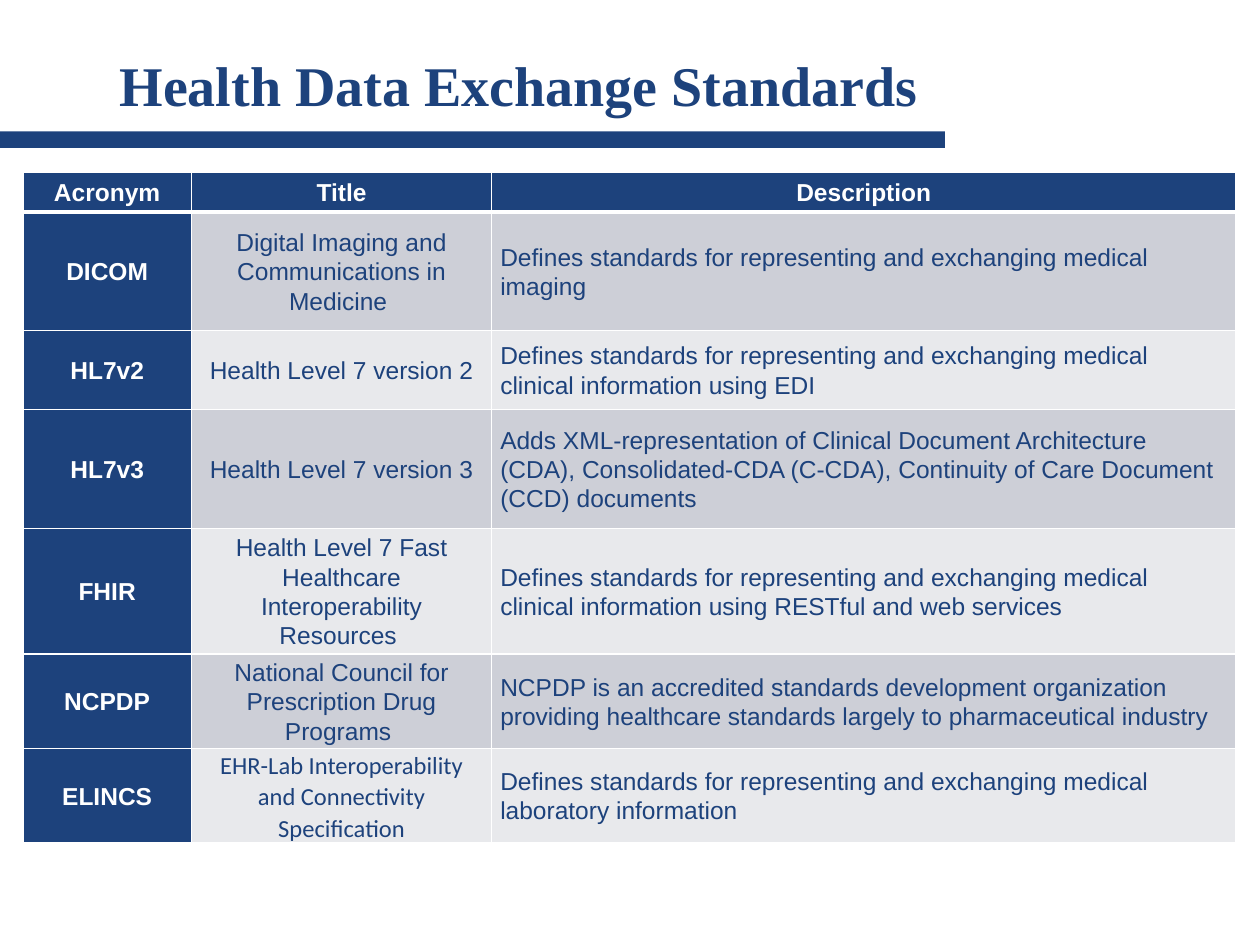
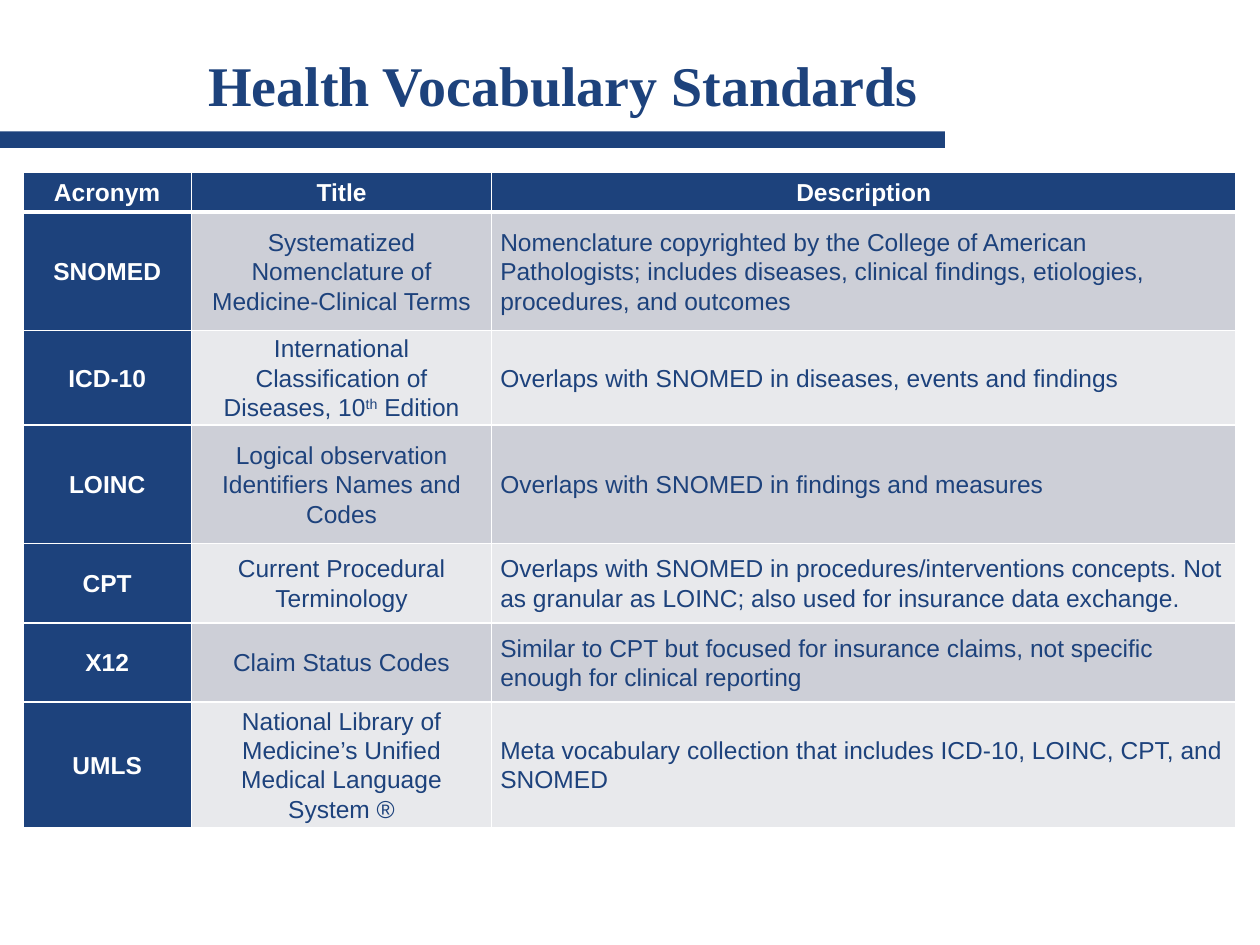
from dataclasses import dataclass

from lxml.etree import SubElement
from pptx import Presentation
from pptx.dml.color import RGBColor
from pptx.enum.shapes import MSO_SHAPE
from pptx.enum.text import MSO_ANCHOR, PP_ALIGN
from pptx.oxml.ns import qn
from pptx.slide import Slide
from pptx.table import _Cell as Cell
from pptx.text.text import _Paragraph as Paragraph
from pptx.util import Pt

NAVY, WHITE = "1D427C", "FFFFFF"
BANDS = ("CDCFD7", "E8E9EC")
TITLE_FONT, BODY_FONT = "Times New Roman", "Arial"
HEADINGS = ("Acronym", "Title", "Description")
COLUMN_WIDTHS = (96.5, 171.4, 425.5)
LINE_HEIGHT = 22.6
THIN, THICK = 1, 3


@dataclass(frozen=True)
class Standard:
    acronym: str
    title: str  # text between carets is superscript
    description: str
    lines: int = 2
    title_font: str = BODY_FONT


@dataclass(frozen=True)
class StandardsPage:
    title: str
    standards: tuple[Standard, ...]


PAGES = (
    StandardsPage("Health Data Exchange Standards ", (
        Standard("DICOM", "Digital Imaging and Communications in Medicine ",
                 "Defines standards for representing and exchanging medical imaging", 3),
        Standard("HL7v2", "Health Level 7 version 2",
                 "Defines standards for representing and exchanging medical clinical "
                 "information using EDI"),
        Standard("HL7v3", "Health Level 7 version 3",
                 "Adds XML-representation of Clinical Document Architecture (CDA), "
                 "Consolidated-CDA (C-CDA), Continuity of Care Document (CCD) documents", 3),
        Standard("FHIR", "Health Level 7 Fast Healthcare Interoperability Resources ",
                 "Defines standards for representing and exchanging medical clinical "
                 "information using RESTful and web services"),
        Standard("NCPDP", "National Council for Prescription Drug Programs ",
                 "NCPDP is an accredited standards development organization providing "
                 "healthcare standards largely to pharmaceutical industry"),
        Standard("ELINCS", "EHR-Lab Interoperability and Connectivity Specification",
                 "Defines standards for representing and exchanging medical laboratory "
                 "information", title_font="Calibri"),
    )),
    StandardsPage("Health Vocabulary Standards ", (
        Standard("SNOMED", "Systematized Nomenclature of Medicine-Clinical Terms",
                 "Nomenclature copyrighted by the College of American Pathologists; includes "
                 "diseases, clinical findings, etiologies, procedures, and outcomes", 3),
        Standard("ICD-10", "International Classification of Diseases, 10^th^ Edition",
                 "Overlaps with SNOMED in diseases, events and findings"),
        Standard("LOINC", "Logical observation Identifiers Names and Codes",
                 "Overlaps with SNOMED in findings and measures", 3),
        Standard("CPT", "Current Procedural Terminology",
                 "Overlaps with SNOMED in procedures/interventions concepts. Not as granular "
                 "as LOINC; also used for insurance data exchange."),
        Standard("X12", "Claim Status Codes",
                 "Similar to CPT but focused for insurance claims, not specific enough for "
                 "clinical reporting"),
        Standard("UMLS", "National Library of Medicine’s Unified Medical Language System ®",
                 "Meta vocabulary collection that includes ICD-10, LOINC, CPT, and SNOMED", 3),
    )),
)


def rgb(color: str) -> RGBColor:
    return RGBColor.from_string(color)


def write(p: Paragraph, text: str, font: str, size: float, color: str, bold: bool,
          align: PP_ALIGN) -> None:
    """Fill a paragraph; every second caret-separated part is superscript."""
    p.alignment = align
    p.font.name, p.font.size, p.font.bold = font, Pt(size), bold
    p.font.color.rgb = rgb(color)
    for i, part in enumerate(text.split("^")):
        r = p.add_run()
        r.text = part
        if i % 2:
            r._r.get_or_add_rPr().set("baseline", "30000")


def set_borders(cell: Cell, top: float, bottom: float) -> None:
    tc_pr = cell._tc.get_or_add_tcPr()
    for side, width in (("L", THIN), ("R", THIN), ("T", top), ("B", bottom)):
        ln = SubElement(tc_pr, qn(f"a:ln{side}"), w=str(Pt(width)))
        SubElement(SubElement(ln, qn("a:solidFill")), qn("a:srgbClr"), val=WHITE)


def fill_cell(cell: Cell, text: str, row: int, column: int, font: str) -> None:
    is_heading = row == 0 or column == 0
    set_borders(cell, THICK if row == 1 else THIN, THICK if row == 0 else THIN)
    cell.fill.solid()
    cell.fill.fore_color.rgb = rgb(NAVY if is_heading else BANDS[(row - 1) % 2])
    cell.vertical_anchor = MSO_ANCHOR.MIDDLE
    cell.margin_left = cell.margin_right = Pt(5)
    cell.margin_top = cell.margin_bottom = 0
    p = cell.text_frame.paragraphs[0]
    p.line_spacing = 1.07
    align = PP_ALIGN.LEFT if row and column == 2 else PP_ALIGN.CENTER
    write(p, text, font, 14, WHITE if is_heading else NAVY, is_heading, align)


def add_title(s: Slide, title: str) -> None:
    band = s.shapes.add_shape(MSO_SHAPE.RECTANGLE, 0, Pt(75), Pt(540), Pt(9.5))
    band.shadow.inherit = False
    band.fill.solid()
    band.fill.fore_color.rgb = rgb(NAVY)
    band.line.fill.background()
    tf = s.shapes.add_textbox(Pt(36), Pt(21.6), Pt(504), Pt(53.4)).text_frame
    tf.word_wrap = True
    tf.vertical_anchor = MSO_ANCHOR.MIDDLE
    write(tf.paragraphs[0], title, TITLE_FONT, 32, NAVY, True, PP_ALIGN.RIGHT)


def add_standards_table(s: Slide, standards: tuple[Standard, ...]) -> None:
    line_counts = [1] + [item.lines for item in standards]
    table = s.shapes.add_table(
        len(line_counts), len(HEADINGS), Pt(13), Pt(98.6),
        Pt(sum(COLUMN_WIDTHS)), Pt(LINE_HEIGHT * sum(line_counts))).table
    table.first_col = True
    for column, width in zip(table.columns, COLUMN_WIDTHS):
        column.width = Pt(width)
    for row, lines in zip(table.rows, line_counts):
        row.height = Pt(LINE_HEIGHT * lines)
    for j, heading in enumerate(HEADINGS):
        fill_cell(table.cell(0, j), heading, 0, j, BODY_FONT)
    for i, item in enumerate(standards, start=1):
        fill_cell(table.cell(i, 0), item.acronym, i, 0, BODY_FONT)
        fill_cell(table.cell(i, 1), item.title, i, 1, item.title_font)
        fill_cell(table.cell(i, 2), item.description, i, 2, BODY_FONT)


def main() -> None:
    prs = Presentation()
    prs.slide_width, prs.slide_height = Pt(720), Pt(540)
    for page in PAGES:
        s = prs.slides.add_slide(prs.slide_layouts[6])
        add_title(s, page.title)
        add_standards_table(s, page.standards)
    prs.save("out.pptx")


if __name__ == "__main__":
    main()
